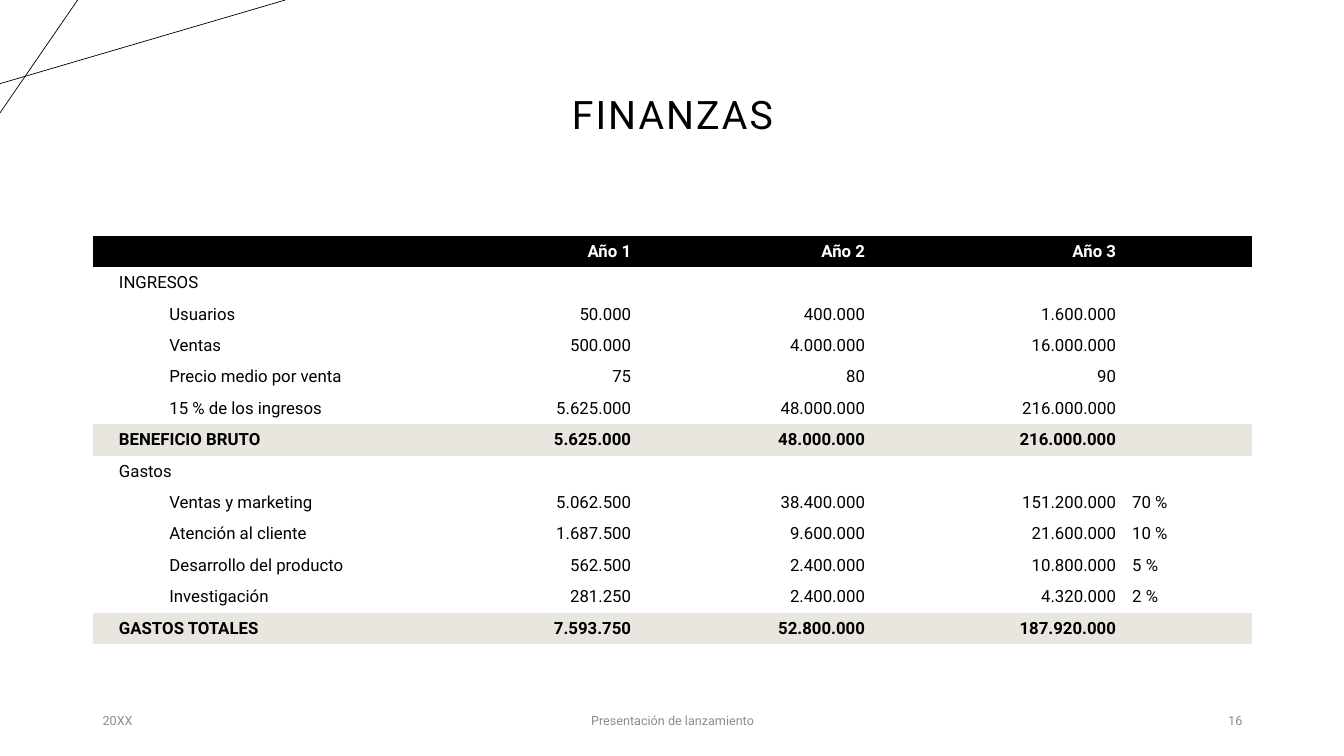
import pptx
import pptx.util
import pptx.dml.color
import pptx.enum.shapes
import pptx.enum.text
import pptx.oxml.ns
from lxml import etree

PX = 9144  # 100 px to the inch
SLIDE = (1333, 750)
FONT = "Roboto"
COLOURS = {"black": "000000", "white": "FFFFFF", "sand": "E9E6DF", "grey": "8C8C8C"}

CORNER_LINES = [((0, 83), (283, 0)), ((77, 0), (0, 112))]

ALIGN = pptx.enum.text.PP_ALIGN
MIDDLE = pptx.enum.text.MSO_ANCHOR.MIDDLE
TITLE_FORMAT = {"size": 28, "colour": "black"}
FOOTER_FORMAT = {"size": 9, "colour": "grey"}
TITLE = ("FINANZAS", (92, 40, 1150, 145), ALIGN.CENTER, TITLE_FORMAT)
FOOTERS = [
    ("20XX", (92, 695, 300, 40), ALIGN.LEFT, FOOTER_FORMAT),
    ("Presentación de lanzamiento", (442, 695, 450, 40), ALIGN.CENTER, FOOTER_FORMAT),
    ("16", (942, 695, 300, 40), ALIGN.RIGHT, FOOTER_FORMAT),
]

TABLE_BOX = (92, 234, 1150, 405)
COLUMN_WIDTHS = [354, 188, 232, 249, 127]
COLUMN_ALIGN = [ALIGN.LEFT, ALIGN.RIGHT, ALIGN.RIGHT, ALIGN.RIGHT, ALIGN.LEFT]
CELL_MARGINS = {"margin_left": 8, "margin_right": 8, "margin_top": 4, "margin_bottom": 4}
LABEL_MARGIN = 26
ITEM_INDENT = 50
PLAIN_TABLE_STYLE = "{2D5ABB26-0587-4C30-8999-92F81FD0307C}"
ROW_KINDS = {
    "header": {"fill": "black", "colour": "white", "bold": True},
    "section": {"fill": None, "colour": "black", "bold": False},
    "item": {"fill": None, "colour": "black", "bold": False},
    "total": {"fill": "sand", "colour": "black", "bold": True},
}
FINANCES = [
    ("header", "", "Año 1", "Año 2", "Año 3", ""),
    ("section", "INGRESOS", "", "", "", ""),
    ("item", "Usuarios", "50.000", "400.000", "1.600.000", ""),
    ("item", "Ventas", "500.000", "4.000.000", "16.000.000", ""),
    ("item", "Precio medio por venta", "75", "80", "90", ""),
    ("item", "15 % de los ingresos", "5.625.000", "48.000.000", "216.000.000", ""),
    ("total", "BENEFICIO BRUTO", "5.625.000", "48.000.000", "216.000.000", ""),
    ("section", "Gastos", "", "", "", ""),
    ("item", "Ventas y marketing", "5.062.500", "38.400.000", "151.200.000", "70 %"),
    ("item", "Atención al cliente", "1.687.500", "9.600.000", "21.600.000", "10 %"),
    ("item", "Desarrollo del producto", "562.500", "2.400.000", "10.800.000", "5 %"),
    ("item", "Investigación", "281.250", "2.400.000", "4.320.000", "2 %"),
    ("total", "GASTOS TOTALES", "7.593.750", "52.800.000", "187.920.000", ""),
]


def emu(lengths):
    return [round(length * PX) for length in lengths]


def rgb(name):
    return pptx.dml.color.RGBColor.from_string(COLOURS[name])


def write(paragraph, words, align, size, colour, bold=False):
    paragraph.alignment = align
    run = paragraph.add_run()
    run.text = words
    font_format = {"name": FONT, "size": pptx.util.Pt(size), "bold": bold}
    for attribute, value in font_format.items():
        setattr(run.font, attribute, value)
    run.font.color.rgb = rgb(colour)
    return run


def add_text(slide, words, box, align, text_format):
    frame = slide.shapes.add_textbox(*emu(box)).text_frame
    frame.word_wrap = True
    frame.vertical_anchor = MIDDLE
    return write(frame.paragraphs[0], words, align, **text_format)


def add_corner_line(slide, start, end):
    line = slide.shapes.add_connector(
        pptx.enum.shapes.MSO_CONNECTOR.STRAIGHT, *emu(start + end))
    line.line.color.rgb = rgb("black")
    line.line.width = pptx.util.Pt(0.5)
    etree.SubElement(line._element.spPr, pptx.oxml.ns.qn("a:effectLst"))


def fill_cell(cell, words, column, kind):
    look = ROW_KINDS[kind]
    cell.vertical_anchor = MIDDLE
    for side, margin in CELL_MARGINS.items():
        setattr(cell, side, margin * PX)
    if look["fill"]:
        cell.fill.solid()
        cell.fill.fore_color.rgb = rgb(look["fill"])
    else:
        cell.fill.background()
    paragraph = cell.text_frame.paragraphs[0]
    if column == 0:
        cell.margin_left = LABEL_MARGIN * PX
        if kind == "item":
            paragraph.level = 1
            paragraph._p.get_or_add_pPr().set("marL", str(ITEM_INDENT * PX))
    if words:
        write(paragraph, words, COLUMN_ALIGN[column], 12, look["colour"], look["bold"])
    else:  # keeps an empty cell from stretching its row
        etree.SubElement(paragraph._p, pptx.oxml.ns.qn("a:endParaRPr"), sz="1200")


def add_finances(slide):
    table = slide.shapes.add_table(
        len(FINANCES), len(COLUMN_WIDTHS), *emu(TABLE_BOX)).table
    table.horz_banding = False
    table._tbl.tblPr.find(pptx.oxml.ns.qn("a:tableStyleId")).text = PLAIN_TABLE_STYLE
    for column, width in zip(table.columns, emu(COLUMN_WIDTHS)):
        column.width = width
    for row, (kind, *entries) in zip(table.rows, FINANCES):
        row.height = round(TABLE_BOX[3] * PX / len(FINANCES))
        for column, words in enumerate(entries):
            fill_cell(row.cells[column], words, column, kind)


def main():
    deck = pptx.Presentation()
    deck.slide_width, deck.slide_height = emu(SLIDE)
    slide = deck.slides.add_slide(deck.slide_layouts[6])
    for start, end in CORNER_LINES:
        add_corner_line(slide, start, end)
    title = add_text(slide, *TITLE)
    title.font._element.set("spc", "150")
    add_finances(slide)
    for footer in FOOTERS:
        add_text(slide, *footer)
    deck.save("out.pptx")


if __name__ == "__main__":
    main()
